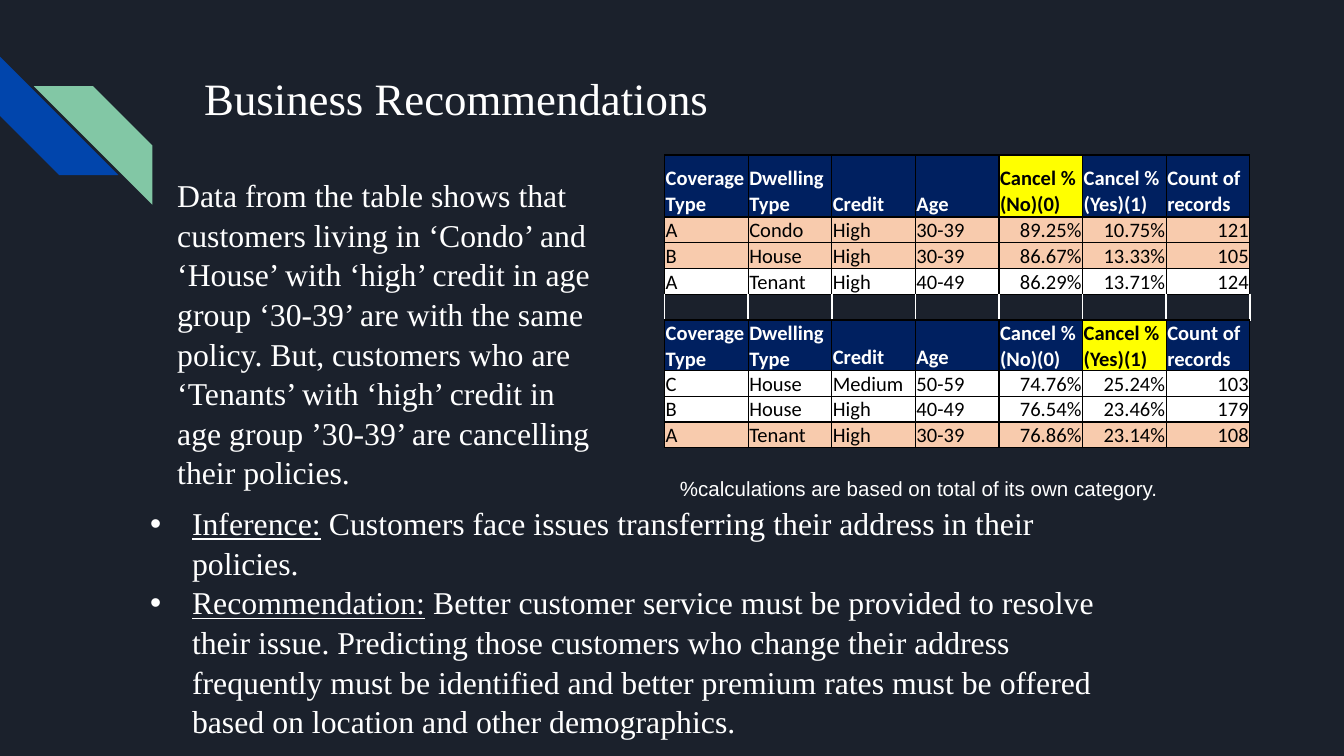
from lxml import etree
from pptx import Presentation
from pptx.dml.color import RGBColor
from pptx.enum.shapes import MSO_SHAPE
from pptx.enum.text import MSO_ANCHOR, PP_ALIGN
from pptx.oxml.ns import qn
from pptx.util import Cm, Pt

STRIPE = MSO_SHAPE.DIAGONAL_STRIPE
TOP, MIDDLE, BOTTOM = MSO_ANCHOR.TOP, MSO_ANCHOR.MIDDLE, MSO_ANCHOR.BOTTOM
LEFT, RIGHT = PP_ALIGN.LEFT, PP_ALIGN.RIGHT

COLORS = {
    "background": "1B212C", "blue": "0145AC", "green": "82C7A5",
    "navy": "002060", "yellow": "FFFF00", "peach": "F8CBAD",
    "white": "FFFFFF", "black": "000000",
}
SERIF, SANS, TABLE_FONT = "Times New Roman", "Arial", "Calibri"

TITLE = "Business Recommendations"
FINDING = (
    "Data from the table shows that customers living in ‘Condo’ and ‘House’ "
    "with ‘high’ credit in age group ‘30-39’ are with the same policy. But, "
    "customers who are ‘Tenants’ with ‘high’ credit in age group ’30-39’ are "
    "cancelling their policies."
)
CONCLUSIONS = [
    ("Inference:", " Customers face issues transferring their address in their policies."),
    ("Recommendation:", " Better customer service must be provided to resolve their "
     "issue. Predicting those customers who change their address frequently must be "
     "identified and better premium rates must be offered based on location and "
     "other demographics."),
]
CAPTION = "%calculations are based on total of its own category."

HEADERS = ["Coverage Type", "Dwelling Type", "Credit", "Age",
           "Cancel % (No)(0)", "Cancel % (Yes)(1)", "Count of records"]
FIRST_NUMBER = 4
SECTIONS = [
    {"header_height": 1.17, "sorted_by": 4, "rows": [
        ("peach", ["A", "Condo", "High", "30-39", "89.25%", "10.75%", "121"]),
        ("peach", ["B", "House", "High", "30-39", "86.67%", "13.33%", "105"]),
        ("white", ["A", "Tenant", "High", "40-49", "86.29%", "13.71%", "124"]),
    ]},
    {"header_height": 0.91, "sorted_by": 5, "rows": [
        ("white", ["C", "House", "Medium", "50-59", "74.76%", "25.24%", "103"]),
        ("white", ["B", "House", "High", "40-49", "76.54%", "23.46%", "179"]),
        ("peach", ["A", "Tenant", "High", "30-39", "76.86%", "23.14%", "108"]),
    ]},
]
ROW_HEIGHT, COLUMN_WIDTH = 0.46, 1.58
STRIPES = [("blue", 0, 1.07, 270), ("green", 0.64, 1.63, 90)]
STRIPE_SIZE = 2.24


def rgb(name):
    return RGBColor.from_string(COLORS[name])


def set_font(font, name, size, color="white", bold=False):
    font.name, font.size, font.bold = name, Pt(size), bold
    font.color.rgb = rgb(color)


def add_text(page, left, top, width, height, paragraphs, name, size,
             anchor=TOP, spacing=1.0):
    box = page.shapes.add_textbox(Cm(left), Cm(top), Cm(width), Cm(height))
    frame = box.text_frame
    frame.word_wrap, frame.vertical_anchor = True, anchor
    frame.margin_left = frame.margin_right = Cm(0.25)
    frame.margin_top = frame.margin_bottom = Cm(0.25)
    for index, spans in enumerate(paragraphs):
        para = frame.add_paragraph() if index else frame.paragraphs[0]
        para.line_spacing = spacing
        set_font(para.font, name, size)
        for text in spans:
            para.add_run().text = text
    return box


def add_bullet(para):
    props = para._p.get_or_add_pPr()
    props.set("marL", str(Cm(0.79)))
    props.set("indent", str(Cm(-0.84)))
    bullet = etree.Element(qn("a:buChar"), char="•")
    font = etree.Element(qn("a:buFont"), typeface=SANS)
    defaults = props.find(qn("a:defRPr"))
    defaults.addprevious(font)
    defaults.addprevious(bullet)


def add_borders(cell, sides):
    props = cell._tc.get_or_add_tcPr()
    for side in sides:
        line = etree.SubElement(props, qn("a:ln" + side), w=str(Pt(0.75)))
        fill = etree.SubElement(line, qn("a:solidFill"))
        etree.SubElement(fill, qn("a:srgbClr"), val=COLORS["black"])


def fill_cell(cell, text, fill, color, bold=False, align=LEFT):
    add_borders(cell, "LRTB")
    cell.fill.solid()
    cell.fill.fore_color.rgb = rgb(fill)
    cell.text = text
    para = cell.text_frame.paragraphs[0]
    para.alignment = align
    set_font(para.font, TABLE_FONT, 11, color, bold)


def clear_cell(cell):
    add_borders(cell, "TB")
    cell.fill.background()
    end = etree.SubElement(cell.text_frame.paragraphs[0]._p, qn("a:endParaRPr"))
    end.set("sz", "1100")
    etree.SubElement(end, qn("a:latin"), typeface=TABLE_FONT)


def add_rates_table(page):
    row_count = sum(len(section["rows"]) + 1 for section in SECTIONS) + len(SECTIONS) - 1
    frame = page.shapes.add_table(
        row_count, len(HEADERS), Cm(12.56), Cm(2.93),
        Cm(COLUMN_WIDTH * len(HEADERS)), Cm(ROW_HEIGHT * row_count))
    table = frame.table
    for column in table.columns:
        column.width = Cm(COLUMN_WIDTH)
    for row in table.rows:
        row.height = Cm(ROW_HEIGHT)
    for cell in table.iter_cells():
        cell.margin_left = cell.margin_right = cell.margin_top = Cm(0.02)
        cell.margin_bottom = 0
        cell.vertical_anchor = BOTTOM

    top = 0
    for section in SECTIONS:
        if top:
            for column in range(len(HEADERS)):
                clear_cell(table.cell(top, column))
            top += 1
        table.rows[top].height = Cm(section["header_height"])
        for column, text in enumerate(HEADERS):
            marked = column == section["sorted_by"]
            fill, color = ("yellow", "black") if marked else ("navy", "white")
            fill_cell(table.cell(top, column), text, fill, color, bold=True)
        for row, (fill, values) in enumerate(section["rows"], top + 1):
            for column, text in enumerate(values):
                align = RIGHT if column >= FIRST_NUMBER else LEFT
                fill_cell(table.cell(row, column), text, fill, "black", align=align)
        top += len(section["rows"]) + 1


def main():
    deck = Presentation()
    deck.slide_width, deck.slide_height = Cm(25.4), Cm(14.29)
    page = deck.slides.add_slide(deck.slide_layouts[6])
    page.background.fill.solid()
    page.background.fill.fore_color.rgb = rgb("background")

    for color, left, top, rotation in STRIPES:
        stripe = page.shapes.add_shape(
            STRIPE, Cm(left), Cm(top), Cm(STRIPE_SIZE), Cm(STRIPE_SIZE))
        stripe.rotation = rotation
        stripe.shadow.inherit = False
        stripe.fill.solid()
        stripe.fill.fore_color.rgb = rgb(color)
        stripe.line.fill.background()

    add_text(page, 3.61, 1.09, 16.08, 1.52, [[TITLE]], SERIF, 24, MIDDLE)
    add_text(page, 3.1, 3.05, 8.36, 5.16, [[FINDING]], SERIF, 17, spacing=1.04)
    add_rates_table(page)
    conclusions = add_text(page, 2.59, 9.25, 19.1, 4.7, CONCLUSIONS, SERIF, 17, spacing=1.04)
    for para in conclusions.text_frame.paragraphs:
        add_bullet(para)
        para.runs[0].font.underline = True
    add_text(page, 12.6, 8.76, 10.9, 0.84, [[CAPTION]], SANS, 11)

    deck.save("out.pptx")


if __name__ == "__main__":
    main()
